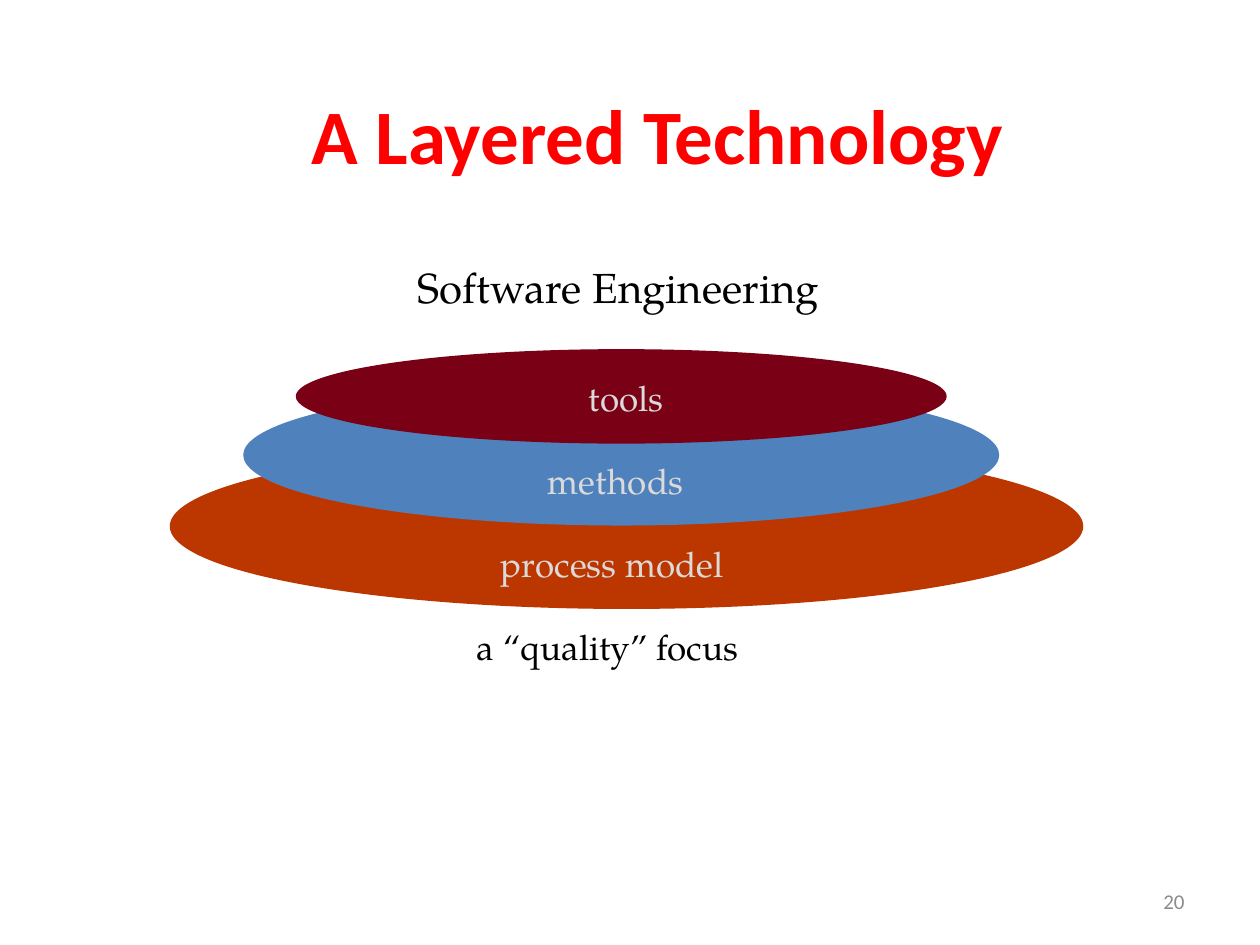
from dataclasses import dataclass

from pptx import Presentation
from pptx.dml.color import RGBColor
from pptx.enum.shapes import MSO_SHAPE
from pptx.enum.text import MSO_ANCHOR, PP_ALIGN
from pptx.util import Pt

ELLIPSE = MSO_SHAPE.OVAL
TOP, MIDDLE = MSO_ANCHOR.TOP, MSO_ANCHOR.MIDDLE
LEFT, CENTER, RIGHT = PP_ALIGN.LEFT, PP_ALIGN.CENTER, PP_ALIGN.RIGHT


@dataclass(frozen=True)
class Theme:
    heading_font: str = "Calibri"
    body_font: str = "TeX Gyre Pagella"
    title_size: int = 44
    subject_size: int = 24
    label_size: int = 20
    number_size: int = 12
    title: str = "FF0000"
    text: str = "000000"
    label: str = "DADADA"
    number: str = "8B8B8B"
    process: str = "BC3700"
    methods: str = "4F81BD"
    tools: str = "790015"


THEME = Theme()


def add_text(page, box, text, size, color, font=THEME.body_font, bold=False,
             align=LEFT, anchor=TOP, wrap=False, insets=(7.2, 3.6)):
    text_box = page.shapes.add_textbox(*map(Pt, box))
    frame = text_box.text_frame
    frame.word_wrap = wrap
    frame.vertical_anchor = anchor
    frame.margin_left = frame.margin_right = Pt(insets[0])
    frame.margin_top = frame.margin_bottom = Pt(insets[1])
    para = frame.paragraphs[0]
    para.alignment = align
    span = para.add_run()
    span.text = text
    span.font.name = font
    span.font.size = Pt(size)
    span.font.bold = bold
    span.font.color.rgb = RGBColor.from_string(color)


def add_title(page, box):
    add_text(page, box, "A Layered Technology", THEME.title_size, THEME.title,
             THEME.heading_font, bold=True, align=CENTER, insets=(5, 2.2))


def add_page_number(page, box):
    add_text(page, box, "20", THEME.number_size, THEME.number,
             THEME.heading_font, align=RIGHT, anchor=MIDDLE, wrap=True)


def add_layers(page, box):
    left, top, width, height = box

    # Ellipses from the widest at the back: x and y offset, width, height, fill
    ellipses = [
        (0, 54, width, height - 54, THEME.process),
        (42, 20.2, 432, 80.6, THEME.methods),
        (72, 0, 372, 54, THEME.tools),
    ]
    for x, y, ellipse_width, ellipse_height, color in ellipses:
        ellipse = page.shapes.add_shape(
            ELLIPSE, Pt(left + x), Pt(top + y),
            Pt(ellipse_width), Pt(ellipse_height))
        ellipse.shadow.inherit = False
        ellipse.fill.solid()
        ellipse.fill.fore_color.rgb = RGBColor.from_string(color)
        ellipse.line.fill.background()

    # Labels step down evenly: text, x offset, width with room to spare, colour
    labels = [
        ("tools", 232.5, 64, THEME.label),
        ("methods", 209, 100, THEME.label),
        ("process model", 182, 150, THEME.label),
        ("a “quality” focus", 168.5, 172, THEME.text),
    ]
    label_step = 47.4
    for row, (text, x, label_width, color) in enumerate(labels):
        label_box = (left + x, top + 12.2 + row * label_step, label_width, 31)
        add_text(page, label_box, text, THEME.label_size, color, wrap=True)


def main():
    deck = Presentation()
    deck.slide_width, deck.slide_height = Pt(720), Pt(540)
    page = deck.slides.add_slide(deck.slide_layouts[6])

    add_page_number(page, (516, 500.5, 168, 28.8))
    add_title(page, (171.4, 47.8, 409, 109.4))
    add_text(page, (231.5, 145.8, 250, 36), "Software Engineering",
             THEME.subject_size, THEME.text, wrap=True)
    add_layers(page, (97, 199.5, 522, 148.5))

    deck.save("out.pptx")


if __name__ == "__main__":
    main()
